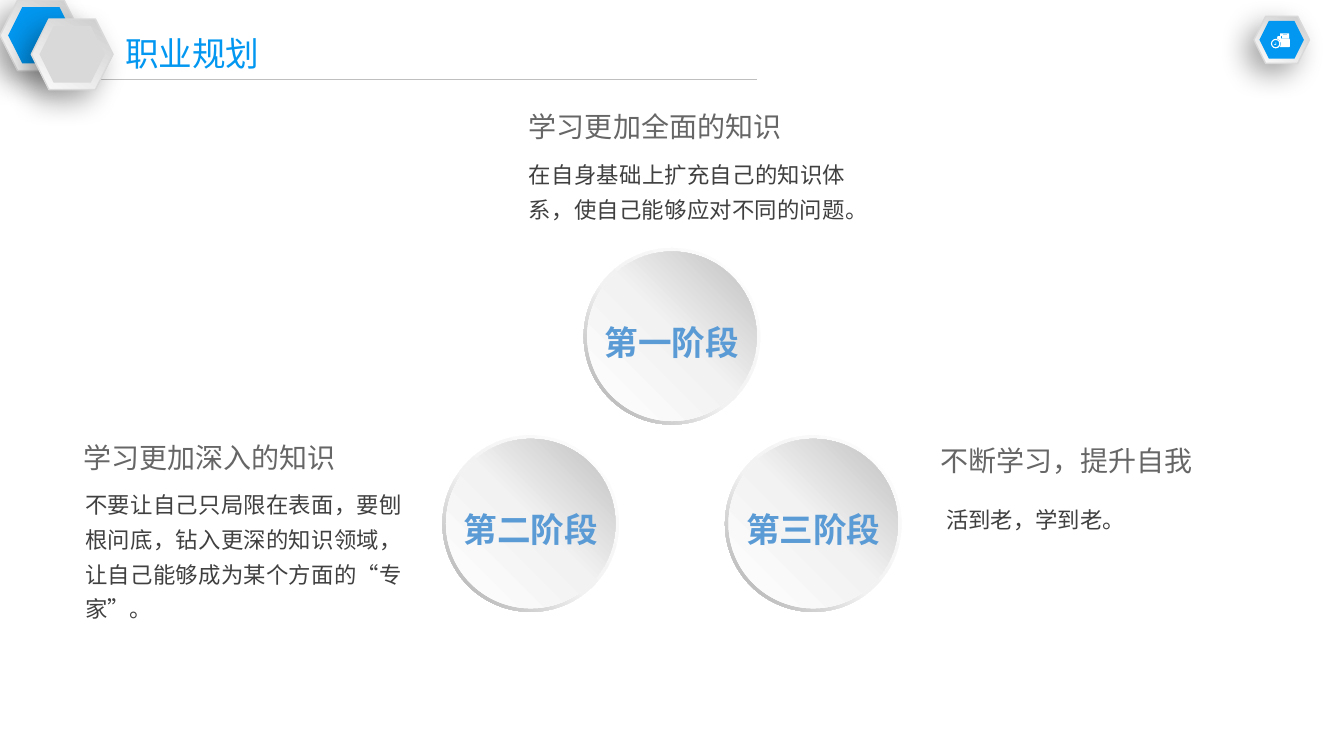
from lxml import etree
from pptx import Presentation
from pptx.dml.color import RGBColor
from pptx.enum.shapes import MSO_CONNECTOR, MSO_SHAPE
from pptx.enum.text import MSO_ANCHOR, MSO_AUTO_SIZE, PP_ALIGN
from pptx.oxml.ns import qn
from pptx.util import Cm, Pt

HEXAGON, DONUT, OVAL = MSO_SHAPE.HEXAGON, MSO_SHAPE.DONUT, MSO_SHAPE.OVAL
STRAIGHT = MSO_CONNECTOR.STRAIGHT
LEFT, CENTER, JUSTIFY = PP_ALIGN.LEFT, PP_ALIGN.CENTER, PP_ALIGN.JUSTIFY
TOP = MSO_ANCHOR.TOP
GROW = MSO_AUTO_SIZE.SHAPE_TO_FIT_TEXT

BLUE = RGBColor(0x02, 0x97, 0xF0)
STAGE_BLUE = RGBColor(0x5B, 0x9B, 0xD5)
DARK = RGBColor(0x40, 0x40, 0x40)
GRAY = RGBColor(0x66, 0x66, 0x66)
RULE_GRAY = RGBColor(0xBF, 0xBF, 0xBF)
LIGHT = RGBColor(0xD9, 0xD9, 0xD9)
WHITE = RGBColor(0xFF, 0xFF, 0xFF)

# Gradients: stops (percent, colour) and clockwise angle
FRAME_GRADIENT = ([(0, "CCCCCC"), (100, "FCFCFC")], 120)
RIM_GRADIENT = ([(0, "FFFFFF"), (55, "F2F2F2"), (100, "A6A6A6")], 135)
DISC_GRADIENT = ([(0, "FFFFFF"), (51, "F2F2F2"), (100, "BFBFBF")], 315)

TITLE = {"size": Pt(24), "color": BLUE}
STAGE = {"size": Pt(24), "color": STAGE_BLUE, "bold": True}
HEADING = {"size": Pt(20), "color": GRAY}
BODY = {"size": Pt(16), "color": DARK}


class SlideBuilder:
    font = "Noto Sans CJK SC"

    def __init__(self, slide):
        self.slide = slide
        self.shapes = slide.shapes

    def start_group(self):
        self.shapes = self.slide.shapes.add_group_shape().shapes

    def end_group(self):
        self.shapes = self.slide.shapes

    def set_text(self, sp, text, style, align=LEFT, spacing=None, inset=None):
        tf = sp.text_frame
        tf.word_wrap = True
        tf.auto_size = GROW
        tf.vertical_anchor = TOP
        if inset is not None:
            for side in ("margin_left", "margin_top", "margin_right", "margin_bottom"):
                setattr(tf, side, inset)
        p = tf.paragraphs[0]
        p.alignment = align
        p.line_spacing = spacing
        r = p.add_run()
        r.text = text
        for name, value in {"name": self.font, **style}.items():
            if name == "color":
                r.font.color.rgb = value
            else:
                setattr(r.font, name, value)
        ea = etree.SubElement(r.font._element, qn("a:ea"))
        ea.set("typeface", self.font)

    def title(self, text, x, y, w, h):
        sp = self.slide.shapes.title
        sp.left, sp.top, sp.width, sp.height = Cm(x), Cm(y), Cm(w), Cm(h)
        self.set_text(sp, text, TITLE)

    def text(self, text, x, y, w, h, style, **layout):
        sp = self.shapes.add_textbox(Cm(x), Cm(y), Cm(w), Cm(h))
        self.set_text(sp, text, style, **layout)

    def rule(self, x1, x2, y):
        line = self.shapes.add_connector(STRAIGHT, Cm(x1), Cm(y), Cm(x2), Cm(y))
        line.line.color.rgb = RULE_GRAY
        line.line.width = Pt(1)
        etree.SubElement(line._element.spPr, qn("a:effectLst"))

    def solid(self, sp, color):
        sp.shadow.inherit = False
        sp.line.fill.background()
        sp.fill.solid()
        sp.fill.fore_color.rgb = color

    def gradient(self, sp, stops, angle):
        sp.fill.gradient()
        sp.fill.gradient_angle = 360 - angle
        gs_list = sp._element.spPr.find(".//" + qn("a:gsLst"))
        gs_list[:] = []
        for percent, color in stops:
            gs = etree.SubElement(gs_list, qn("a:gs"), pos=str(percent * 1000))
            etree.SubElement(gs, qn("a:srgbClr"), val=color)

    def shape(self, kind, x, y, w, h, fill, adj=None):
        sp = self.shapes.add_shape(kind, Cm(x), Cm(y), Cm(w), Cm(h))
        self.solid(sp, WHITE if isinstance(fill, tuple) and len(fill) == 2 else fill)
        if len(fill) == 2:
            self.gradient(sp, *fill)
        if adj is not None:
            sp.adjustments[0] = adj
        return sp

    def drop_shadow(self, sp):
        effects = sp._element.spPr.find(qn("a:effectLst"))
        shadow = etree.SubElement(
            effects, qn("a:outerShdw"), blurRad=str(Pt(20)), dist=str(Pt(10)),
            dir=str(136 * 60000), algn="tr", rotWithShape="0")
        color = etree.SubElement(shadow, qn("a:srgbClr"), val="000000")
        etree.SubElement(color, qn("a:alpha"), val="34000")

    def badge(self, x, y, w, h, color):
        """Framed hexagon with a smaller one centred inside."""
        frame = self.shape(HEXAGON, x, y, w, h, FRAME_GRADIENT)
        frame.line.color.rgb = LIGHT
        frame.line.width = Pt(1)
        self.drop_shadow(frame)
        self.shape(HEXAGON, x + 0.1 * w, y + 0.1 * h, 0.8 * w, 0.8 * h, color)

    def outline(self, *contours):
        contours = [[(Cm(x), Cm(y)) for x, y in c] for c in contours]
        builder = self.shapes.build_freeform(*contours[0][0])
        for i, points in enumerate(contours):
            if i:
                builder.move_to(*points[0])
            builder.add_line_segments(points[1:], close=True)
        self.solid(builder.convert_to_shape(), WHITE)

    def stage(self, label, x, y):
        self.start_group()
        self.shape(DONUT, x, y, 4.45, 4.45, RIM_GRADIENT, adj=0.049)
        self.shape(OVAL, x + 0.09, y + 0.09, 4.27, 4.27, DISC_GRADIENT)
        self.text(label, x + 0.32, y + 1.85, 3.81, 1.02, STAGE,
                  align=CENTER, inset=0)
        self.end_group()


def main():
    prs = Presentation()
    prs.slide_width, prs.slide_height = Cm(33.87), Cm(19.05)
    s = SlideBuilder(prs.slides.add_slide(prs.slide_layouts[5]))

    # Header
    s.rule(2.06, 19.08, 2.01)
    s.start_group()
    s.badge(0, 0, 2.06, 1.78, BLUE)
    s.badge(0.79, 0.48, 2.06, 1.78, LIGHT)
    s.end_group()
    s.title("职业规划", 2.9, 0.71, 8.26, 1.27)

    # Corner badge with its icon
    s.start_group()
    s.badge(31.6, 0.41, 1.4, 1.19, BLUE)
    s.outline([(32.18, 0.97), (32.2, 0.91), (32.28, 0.91), (32.28, 0.97),
               (32.49, 0.97), (32.51, 1.0), (32.51, 1.17), (32.49, 1.19),
               (32.26, 1.19), (32.28, 1.09), (32.24, 1.01)])
    slots = [[(32.33, y), (32.44, y), (32.44, y + 0.01), (32.33, y + 0.01)]
             for y in (0.87, 0.91, 0.94)]
    s.outline([(32.31, 0.97), (32.49, 0.97), (32.49, 0.84), (32.26, 0.84),
               (32.26, 0.91), (32.31, 0.91)], *slots)
    s.shape(DONUT, 32.03, 0.98, 0.24, 0.24, WHITE, adj=0.12)
    s.outline([(32.15, 1.07), (32.16, 1.07), (32.16, 1.13), (32.11, 1.13),
               (32.11, 1.12), (32.15, 1.12)])
    s.end_group()

    # Stages in a triangle
    apex_x, apex_y, half_base, drop = 14.71, 6.25, 3.56, 4.72
    s.stage("第一阶段", apex_x, apex_y)
    s.stage("第二阶段", apex_x - half_base, apex_y + drop)
    s.stage("第三阶段", apex_x + half_base, apex_y + drop)

    # Descriptions: heading and body, each with its left, top; body height
    notes = [
        ("学习更加全面的知识", 13.08, 2.64,
         "在自身基础上扩充自己的知识体系，使自己能够应对不同的问题。",
         13.08, 3.73, 1.96),
        ("学习更加深入的知识", 1.85, 10.97,
         "不要让自己只局限在表面，要刨根问底，钻入更深的知识领域，"
         "让自己能够成为某个方面的“专家”。", 1.9, 12.04, 3.73),
        ("不断学习，提升自我", 23.44, 11.05,
         "活到老，学到老。", 23.6, 12.42, 1.07),
    ]
    for heading, hx, hy, body, bx, by, bh in notes:
        s.text(heading, hx, hy, 7.16, 1.12, HEADING)
        s.text(body, bx, by, 8.48, bh, BODY, align=JUSTIFY, spacing=1.3)

    prs.save("out.pptx")


if __name__ == "__main__":
    main()
